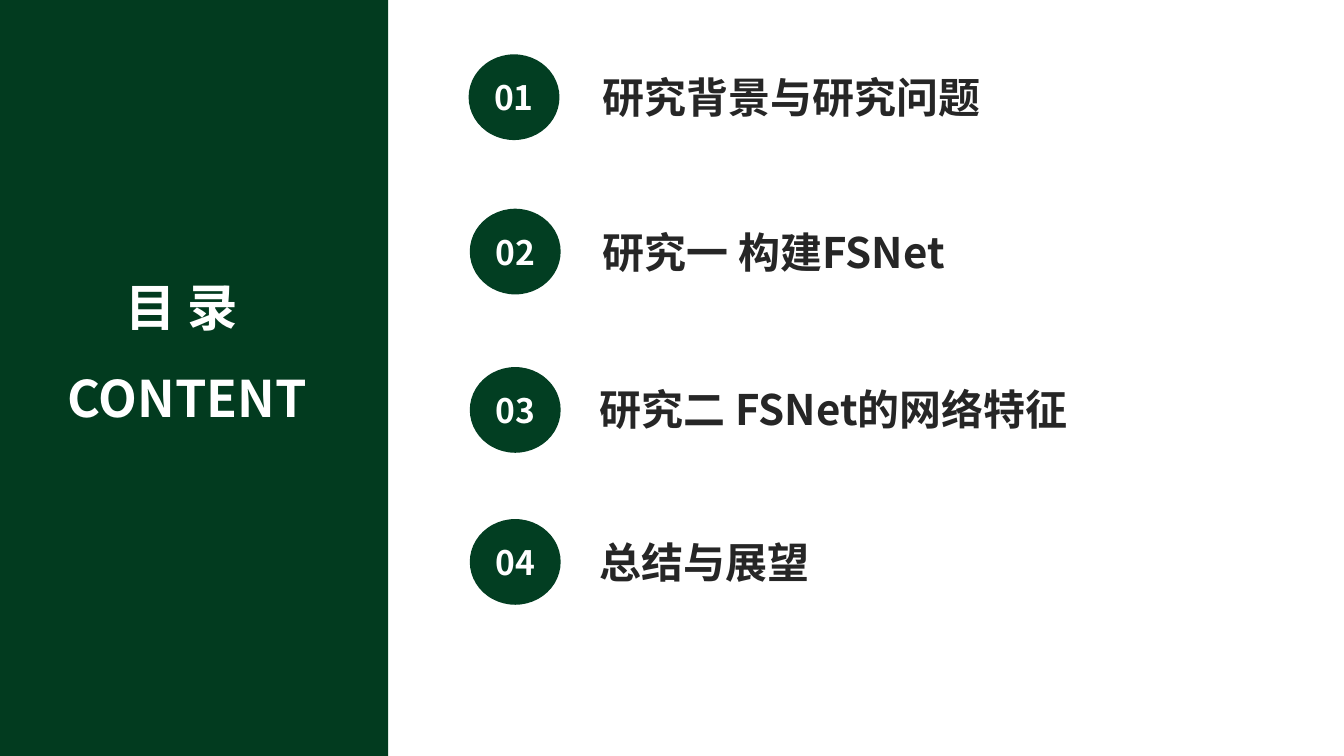
"""Build a contents slide with a dark side panel and four numbered sections."""
from dataclasses import dataclass

from lxml.etree import SubElement
from pptx import Presentation
from pptx.dml.color import RGBColor
from pptx.enum.shapes import MSO_SHAPE
from pptx.enum.text import MSO_ANCHOR, MSO_AUTO_SIZE, PP_ALIGN
from pptx.oxml.ns import qn
from pptx.shapes.autoshape import Shape
from pptx.slide import Slide
from pptx.util import Cm, Pt

FONT = "Noto Sans CJK SC"
COLORS = {"panel": "023B1F", "badge": "023E22", "light": "FFFFFF", "dark": "262626"}
BADGE_WIDTH, BADGE_HEIGHT, LABEL_HEIGHT = 2.29, 2.16, 1.55


@dataclass(frozen=True)
class Section:
    text: str
    badge_left: float
    badge_top: float
    label_left: float
    label_top: float
    label_width: float


SECTIONS = [
    Section("研究背景与研究问题", 11.81, 1.37, 14.94, 1.68, 10.26),
    Section("研究一 构建FSNet", 11.84, 5.26, 14.94, 5.59, 17.58),
    Section("研究二 FSNet的网络特征", 11.84, 9.25, 14.86, 9.53, 17.58),
    Section("总结与展望", 11.84, 13.08, 14.86, 13.39, 13.59),
]


def place(shape: Shape, left: float, top: float, width: float, height: float) -> None:
    """Set the position and size of a shape in centimetres."""
    shape.left, shape.top = Cm(left), Cm(top)
    shape.width, shape.height = Cm(width), Cm(height)


def write_text(
    shape: Shape,
    text: str,
    *,
    size: int,
    color: str,
    align: PP_ALIGN = PP_ALIGN.LEFT,
    anchor: MSO_ANCHOR = MSO_ANCHOR.TOP,
    line_spacing: float = 1.0,
    auto_size: MSO_AUTO_SIZE = MSO_AUTO_SIZE.SHAPE_TO_FIT_TEXT,
) -> None:
    """Fill a shape with bold, unbulleted text, one paragraph per line."""
    frame = shape.text_frame
    frame.text = text
    frame.word_wrap = True
    frame.auto_size = auto_size
    frame.vertical_anchor = anchor
    for paragraph in frame.paragraphs:
        paragraph.alignment = align
        paragraph.line_spacing = line_spacing
        paragraph.space_before = paragraph.space_after = Pt(0)
        properties = paragraph._p.get_or_add_pPr()
        properties.set("marL", "0")
        properties.set("indent", "0")
        SubElement(properties, qn("a:buNone"))
        for run in paragraph.runs:
            run.font.size = Pt(size)
            run.font.bold = True
            run.font.name = FONT
            run.font.color.rgb = RGBColor.from_string(COLORS[color])
            SubElement(run._r.get_or_add_rPr(), qn("a:ea"), typeface=FONT)


def add_filled_shape(
    slide: Slide, kind: MSO_SHAPE, color: str, left: float, top: float, width: float, height: float
) -> Shape:
    """Add a flat shape without outline."""
    shape = slide.shapes.add_shape(kind, Cm(left), Cm(top), Cm(width), Cm(height))
    shape.shadow.inherit = False
    shape.fill.solid()
    shape.fill.fore_color.rgb = RGBColor.from_string(COLORS[color])
    shape.line.fill.background()
    return shape


def add_section(slide: Slide, label: Shape, number: int, section: Section) -> None:
    """Draw a numbered badge and write its section label."""
    badge = add_filled_shape(
        slide, MSO_SHAPE.OVAL, "badge",
        section.badge_left, section.badge_top, BADGE_WIDTH, BADGE_HEIGHT,
    )
    write_text(
        badge, f"{number:02d}", size=24, color="light", align=PP_ALIGN.CENTER,
        anchor=MSO_ANCHOR.MIDDLE, auto_size=MSO_AUTO_SIZE.NONE,
    )
    place(label, section.label_left, section.label_top, section.label_width, LABEL_HEIGHT)
    write_text(label, section.text, size=30, color="dark")


def main() -> None:
    """Create the presentation and save it."""
    presentation = Presentation()
    presentation.slide_width, presentation.slide_height = Cm(33.87), Cm(19.05)
    layout = presentation.slide_layouts.get_by_name("Comparison")
    slide = presentation.slides.add_slide(layout)
    title, *labels = slide.placeholders

    panel = add_filled_shape(slide, MSO_SHAPE.RECTANGLE, "panel", -0.15, 0, 9.93, 19.05)
    title._element.addprevious(panel._element)
    place(title, 0.74, 6.07, 7.67, 4.65)
    write_text(
        title, "目 录\n CONTENT", size=36, color="light",
        align=PP_ALIGN.CENTER, line_spacing=1.5,
    )
    for number, (label, section) in enumerate(zip(labels, SECTIONS), start=1):
        add_section(slide, label, number, section)
    presentation.save("out.pptx")


if __name__ == "__main__":
    main()
